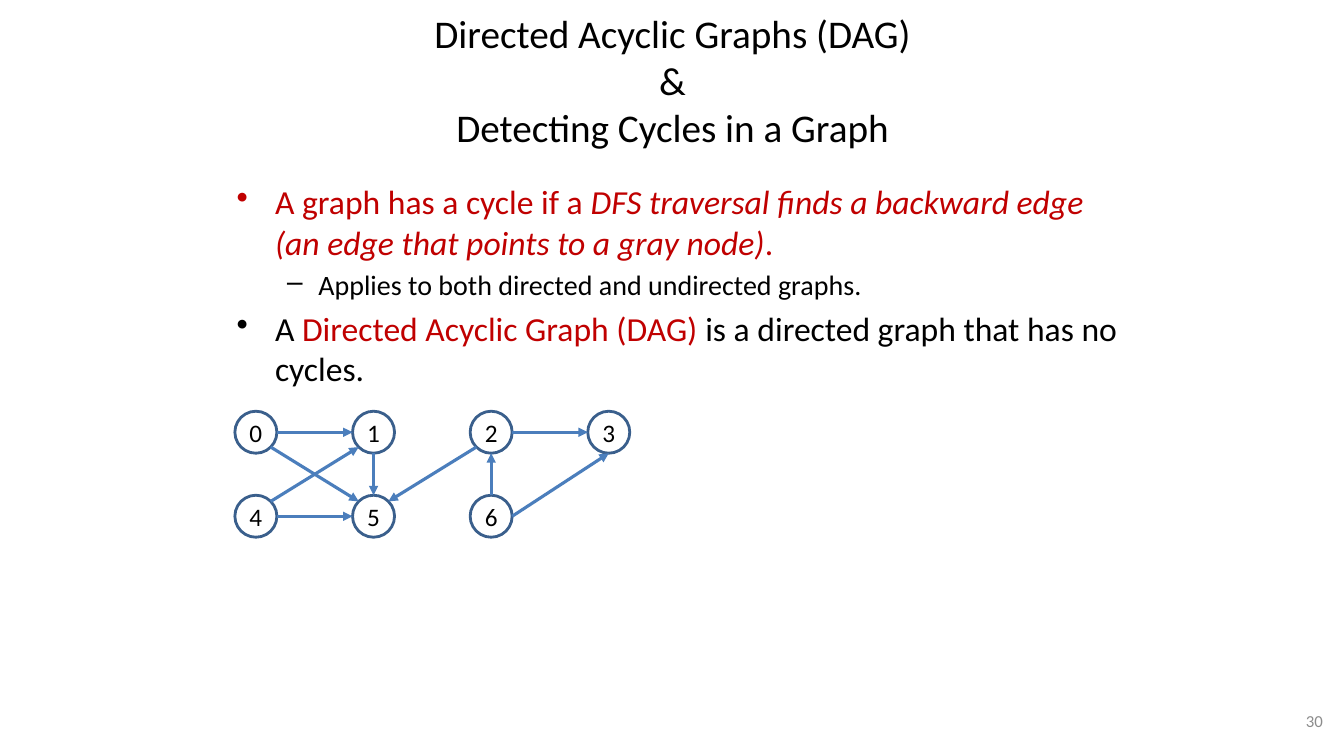
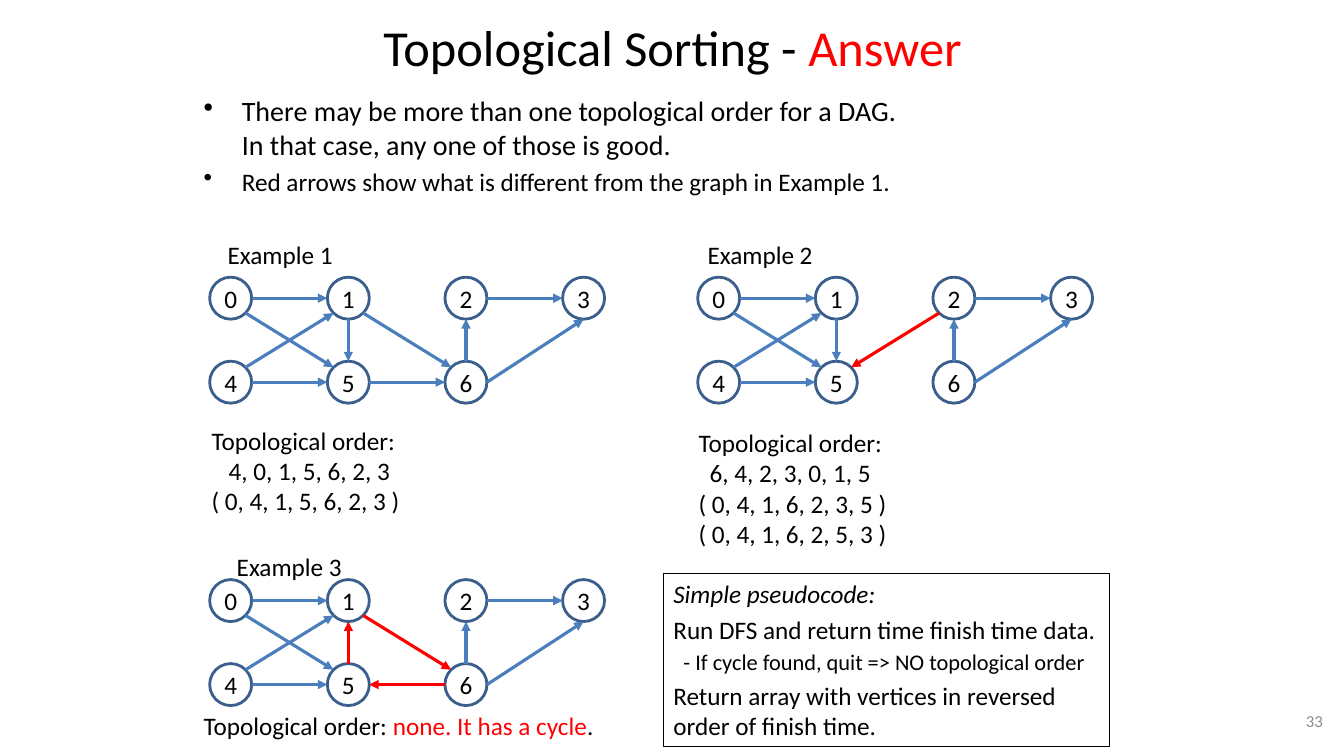
from math import copysign, sqrt

from lxml import etree
from pptx import Presentation, util as u
from pptx.dml.color import RGBColor
from pptx.enum import shapes, text
from pptx.oxml.ns import qn

WIDE, HIGH = 13.33, 7.5
FONT = "Calibri"
HEX = {"ink": "000000", "ring": "3A5F8C", "edge": "4B7EBC",
       "red": "FF0000", "deep": "C00000", "grey": "8C8C8C"}
LEFT, MID, RIGHT = text.PP_ALIGN.LEFT, text.PP_ALIGN.CENTER, text.PP_ALIGN.RIGHT
TOP, CENTER = text.MSO_ANCHOR.TOP, text.MSO_ANCHOR.MIDDLE

# Graph grid: node -> (column, row)
NODES = {0: (0, 0), 1: (1, 0), 2: (2, 0), 3: (3, 0),
         4: (0, 1), 5: (1, 1), 6: (2, 1)}
COL, ROW, SIZE = 7 / 6, 5 / 6, 5 / 12
BASE = [(0, 1), (0, 5), (4, 1), (4, 5), (2, 3), (6, 2), (6, 3)]

# Bullet styles: mark, left margin, hanging indent
BULLETS = {"dot": ("•", 0.38, -0.38), "dash": ("–", 0.81, -0.31)}


def para(*runs, size=18, tint="ink", style=None, pad=0, gap=0, italic=False):
    """Describe a paragraph; a run is a string or (string, colour, italic)."""
    return dict(runs=runs, size=size, tint=tint, style=style, pad=pad,
                gap=gap, italic=italic)


SLIDES = [
    {"title": para("Directed Acyclic Graphs (DAG)\n&\nDetecting Cycles in a Graph", size=28),
     "depth": 1.58, "number": "30",
     "texts": [
         ((2.25, 1.75, 9, 2.14), [
             para("A graph has a cycle if a ",
                  ("DFS traversal finds a backward edge "
                   "(an edge that points to a gray node)", "deep", True),
                  ".", size=24, tint="deep", style="dot", gap=0.2),
             para("Applies to both directed and undirected graphs.",
                  size=20, style="dash", gap=0.2),
             para("A ", ("Directed Acyclic Graph (DAG) ", "deep", False),
                  "is a directed graph that has no cycles.",
                  size=24, style="dot", gap=0.2)])],
     "graphs": [((2.33, 4.08), [(1, 5, "edge"), (2, 5, "edge")])]},
    {"title": para("Topological Sorting - ", ("Answer", "red", False), size=36),
     "depth": 0.92, "number": "33",
     "texts": [
         ((1.92, 0.88, 7.08, 1.29), [
             para("There may be more than one topological order for a DAG. "
                  "In that case, any one of those is good.",
                  size=20, style="dot", gap=0.2),
             para("Red arrows show what is different from the graph in Example 1.",
                  style="dot", gap=0.2)]),
         ((2.16, 2.33, 1.4, 0.4), [para("Example 1")]),
         ((6.92, 2.33, 1.4, 0.4), [para("Example 2")]),
         ((2.25, 5.42, 1.4, 0.4), [para("Example 3")]),
         ((2, 4.17, 3.79, 1.01), [
             para("Topological order:"),
             para("4, 0, 1, 5, 6, 2, 3", pad=0.17),
             para("( 0, 4, 1, 5, 6, 2, 3 )")]),
         ((6.83, 4.19, 3.21, 1.31), [
             para("Topological order:"),
             para("6, 4, 2, 3, 0, 1, 5", pad=0.11),
             para("( 0, 4, 1, 6, 2, 3, 5 )"),
             para("( 0, 4, 1, 6, 2, 5, 3 )")]),
         ((1.92, 7, 4.08, 0.4), [
             para("Topological order: ", ("none. It has a cycle", "red", False), ".")])],
     "panel": ((6.58, 5.69, 4.42, 1.72), [
         para("Simple pseudocode:", gap=0.2, italic=True),
         para("Run DFS and return time finish time data.", gap=0.2),
         para("- If cycle found, quit => NO topological order",
              size=16, pad=0.1, gap=0.2),
         para("Return array with vertices in reversed order of finish time.", gap=0.2)]),
     "graphs": [
         ((2.08, 2.75), [(1, 5, "edge"), (1, 6, "edge"), (5, 6, "edge")]),
         ((6.92, 2.75), [(1, 5, "edge"), (2, 5, "red")]),
         ((2.08, 5.75), [(5, 1, "red"), (1, 6, "red"), (6, 5, "red")])]},
]


def rgb(name):
    return RGBColor.from_string(HEX[name])


def inches(*nums):
    return [u.Inches(n) for n in nums]


def fill(frame, paras, align=LEFT, anchor=TOP):
    """Write described paragraphs into a text frame."""
    frame.word_wrap = True
    frame.auto_size = text.MSO_AUTO_SIZE.NONE
    frame.vertical_anchor = anchor
    for i, item in enumerate(paras):
        p = frame.add_paragraph() if i else frame.paragraphs[0]
        p.alignment = align
        p.space_before = u.Pt(item["gap"] * item["size"] if i else 0)
        font = p.font
        font.name, font.size = FONT, u.Pt(item["size"])
        font.color.rgb, font.italic = rgb(item["tint"]), item["italic"]
        indent(p, item["style"], item["pad"])
        for run in item["runs"]:
            words, tint, italic = (run, None, None) if isinstance(run, str) else run
            for k, line in enumerate(words.split("\n")):
                if k:
                    p.add_line_break()
                r = p.add_run()
                r.text = line
                if tint:
                    r.font.color.rgb, r.font.italic = rgb(tint), italic


def indent(p, style, pad):
    mark, left, hang = BULLETS.get(style, (None, pad, 0))
    props = p._p.get_or_add_pPr()
    props.set("marL", str(u.Inches(left)))
    props.set("indent", str(u.Inches(hang)))
    if mark:
        bullet = etree.Element(qn("a:buChar"), char=mark)
        props.find(qn("a:defRPr")).addprevious(bullet)


def box(slide, at, paras, **how):
    fill(slide.shapes.add_textbox(*inches(*at)).text_frame, paras, **how)


def outline(slide, kind, at, tint, width):
    shape = slide.shapes.add_shape(kind, *inches(*at))
    shape.shadow.inherit = False
    shape.fill.background()
    shape.line.color.rgb, shape.line.width = rgb(tint), u.Pt(width)
    return shape


def rim(node, dx, dy):
    """Point on a node's circle in the nearest of eight directions."""
    reach = SIZE / 2 / (sqrt(2) if dx and dy else 1)
    col, row = NODES[node]
    return [spot * step + SIZE / 2 + (copysign(reach, d) if d else 0)
            for spot, step, d in ((col, COL, dx), (row, ROW, dy))]


def arrow(slide, origin, start, end, tint):
    dx, dy = (b - a for a, b in zip(NODES[start], NODES[end]))
    if (start, end) == (6, 3):
        ends = rim(start, 1, 0) + rim(end, 0, 1)
    else:
        ends = rim(start, dx, dy) + rim(end, -dx, -dy)
    spots = [a + b for a, b in zip(ends, origin * 2)]
    line = slide.shapes.add_connector(shapes.MSO_CONNECTOR.STRAIGHT, *inches(*spots))
    line.line.color.rgb, line.line.width = rgb(tint), u.Pt(2.25)
    etree.SubElement(line.line._get_or_add_ln(), qn("a:tailEnd"), type="triangle")
    etree.SubElement(line._element.spPr, qn("a:effectLst"))


def graph(slide, origin, extra):
    x, y = origin
    for node, (col, row) in NODES.items():
        at = (x + col * COL, y + row * ROW, SIZE, SIZE)
        ring = outline(slide, shapes.MSO_SHAPE.OVAL, at, "ring", 2)
        frame = ring.text_frame
        frame.margin_left = frame.margin_right = 0
        frame.margin_top = frame.margin_bottom = 0
        fill(frame, [para(str(node))], align=MID, anchor=CENTER)
    for start, end, tint in [(a, b, "edge") for a, b in BASE] + extra:
        arrow(slide, origin, start, end, tint)


def build(deck, page):
    slide = deck.slides.add_slide(deck.slide_layouts[5])
    title = slide.shapes.title
    title.left, title.top, title.width, title.height = inches(2.17, 0, 9, page["depth"])
    fill(title.text_frame, [page["title"]], align=MID, anchor=CENTER)
    for at, paras in page["texts"]:
        box(slide, at, paras)
    for origin, extra in page["graphs"]:
        graph(slide, origin, extra)
    if "panel" in page:
        at, paras = page["panel"]
        panel = outline(slide, shapes.MSO_SHAPE.RECTANGLE, at, "ink", 0.75)
        fill(panel.text_frame, paras)
    box(slide, (10.11, 6.95, 3.11, 0.4),
        [para(page["number"], size=12, tint="grey")], align=RIGHT, anchor=CENTER)


def main():
    deck = Presentation()
    deck.slide_width, deck.slide_height = inches(WIDE, HIGH)
    for page in SLIDES:
        build(deck, page)
    deck.save("out.pptx")


if __name__ == "__main__":
    main()
